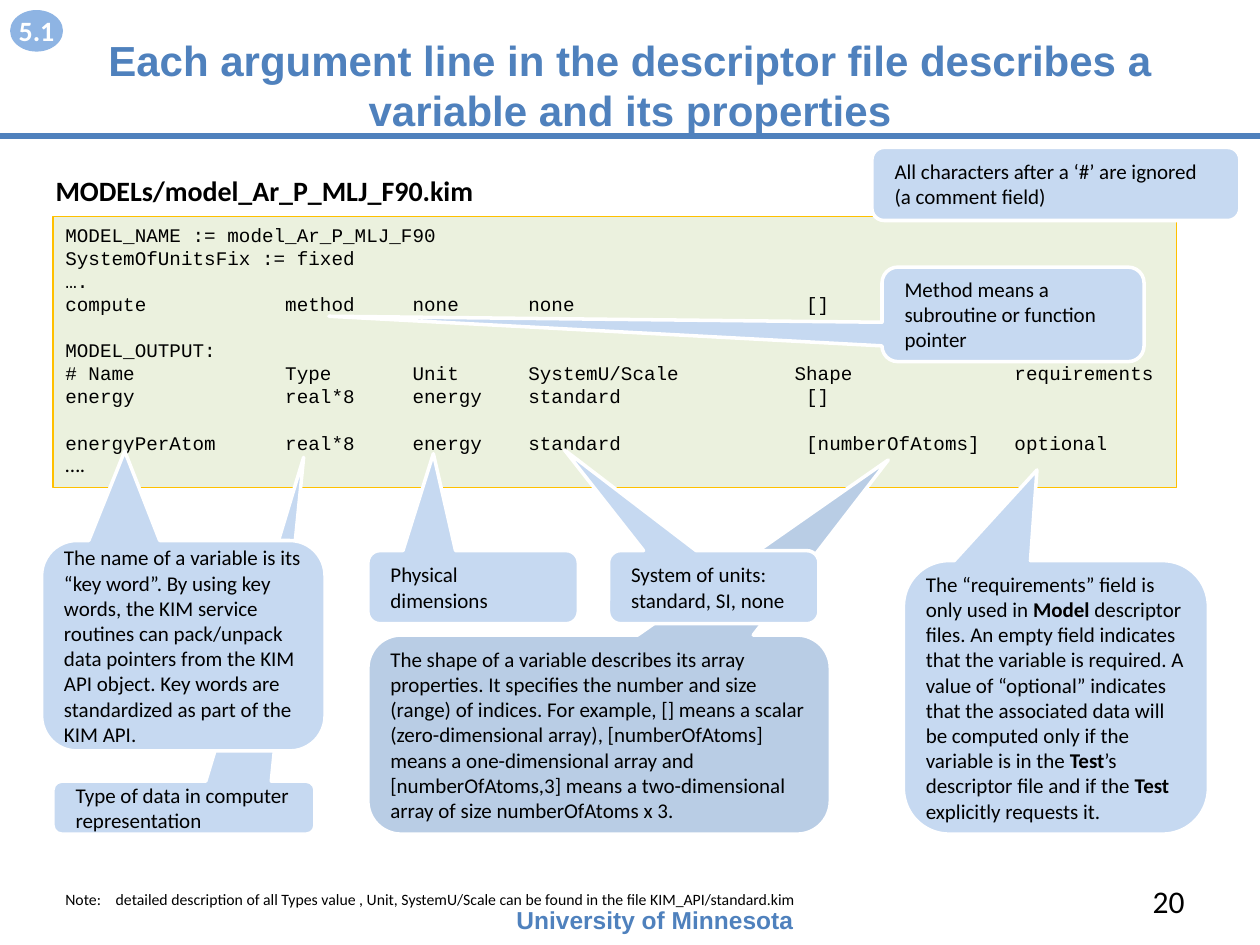
"""Build the slide that explains the argument lines of a KIM descriptor file."""
from lxml import etree
from pptx import Presentation
from pptx.dml.color import RGBColor
from pptx.enum.shapes import MSO_CONNECTOR, MSO_SHAPE
from pptx.enum.text import MSO_ANCHOR, MSO_AUTO_SIZE, PP_ALIGN
from pptx.oxml.ns import qn
from pptx.util import Inches, Pt

RECTANGLE, OVAL = MSO_SHAPE.RECTANGLE, MSO_SHAPE.OVAL
ROUNDED, CALLOUT = MSO_SHAPE.ROUNDED_RECTANGLE, MSO_SHAPE.ROUNDED_RECTANGULAR_CALLOUT
STRAIGHT = MSO_CONNECTOR.STRAIGHT
TOP, MIDDLE = MSO_ANCHOR.TOP, MSO_ANCHOR.MIDDLE
LEFT, CENTER, RIGHT = PP_ALIGN.LEFT, PP_ALIGN.CENTER, PP_ALIGN.RIGHT
NO_FIT = MSO_AUTO_SIZE.NONE

BLACK = RGBColor(0x00, 0x00, 0x00)
WHITE = RGBColor(0xFF, 0xFF, 0xFF)
BLUE = RGBColor(0x4F, 0x81, 0xBD)
BADGE_BLUE = RGBColor(0x8E, 0xB4, 0xE3)
PALE_BLUE = RGBColor(0xC6, 0xD9, 0xF1)
SHAPE_BLUE = RGBColor(0xB9, 0xCD, 0xE5)
PALE_GREEN = RGBColor(0xEB, 0xF1, 0xDE)
GOLD = RGBColor(0xFF, 0xC0, 0x00)


def write(shape, text, size, font="Calibri", color=BLACK, bold=False, align=LEFT, anchor=TOP):
    """Fill a shape with text; every second part between bars is bold."""
    frame = shape.text_frame
    frame.word_wrap = True
    frame.auto_size = NO_FIT
    frame.vertical_anchor = anchor
    frame.text = text.replace("|", "")
    for paragraph, line in zip(frame.paragraphs, text.split("\n")):
        paragraph.alignment = align
        if "|" in line:
            paragraph.text = ""
            for index, part in enumerate(line.split("|")):
                run = paragraph.add_run()
                run.text = part
                run.font.bold = index % 2 == 1
        for run in paragraph.runs:
            run.font.name = font
            run.font.size = Pt(size)
            run.font.color.rgb = color
            if "|" not in line:
                run.font.bold = bold


def add_box(kind, left, top, width, height, fill, line=None, line_width=1):
    """Add a flat filled shape with an optional outline."""
    shape = slide.shapes.add_shape(kind, Inches(left), Inches(top), Inches(width), Inches(height))
    shape.shadow.inherit = False
    shape.fill.solid()
    shape.fill.fore_color.rgb = fill
    if line is None:
        shape.line.fill.background()
    else:
        shape.line.color.rgb = line
        shape.line.width = Pt(line_width)
    return shape


presentation = Presentation()
presentation.slide_width = Inches(10)
presentation.slide_height = Inches(7.5)
slide = presentation.slides.add_slide(presentation.slide_layouts[5])

title = slide.shapes.title
title.left, title.top, title.width, title.height = Inches(0.5), Inches(0.25), Inches(9), Inches(0.67)
write(title, "Each argument line in the descriptor file describes a variable and its properties",
      24, "Arial", BLUE, True, CENTER)
title.text_frame.margin_top = Inches(0.02)

code_lines = [
    "MODEL_NAME := model_Ar_P_MLJ_F90",
    "SystemOfUnitsFix := fixed",
    "….",
    "compute            method     none      none                    []",
    "MODEL_OUTPUT:",
    "# Name             Type       Unit      SystemU/Scale          Shape              requirements",
    "energy             real*8     energy    standard                []",
    "energyPerAtom      real*8     energy    standard                [numberOfAtoms]   optional",
    "….",
]
code_box = add_box(RECTANGLE, 0.42, 1.72, 8.92, 2.15, PALE_GREEN, GOLD, 0.75)
write(code_box, "\n".join(code_lines), 11, "Courier New")
code_paragraphs = code_box.text_frame.paragraphs
for paragraph in code_paragraphs:
    paragraph.line_spacing = Pt(13.2)
    if paragraph.text.startswith(("MODEL_OUTPUT", "energyPerAtom")):
        paragraph.space_before = Pt(13.2)
closing_run = code_paragraphs[-1].runs[0]
closing_run.font.name = "Calibri"
closing_run.font.size = Pt(12)

badge = add_box(OVAL, 0.08, 0.08, 0.42, 0.33, BADGE_BLUE)
write(badge, "5.1", 16, color=WHITE, bold=True, align=CENTER, anchor=MIDDLE)
badge.text_frame.margin_left = badge.text_frame.margin_right = 0
badge.text_frame.word_wrap = False

title_rule = slide.shapes.add_connector(STRAIGHT, 0, Inches(1.08), Inches(10), Inches(1.08))
title_rule.line.color.rgb = BLUE
title_rule.line.width = Pt(3)
etree.SubElement(title_rule._element.spPr, qn("a:effectLst"))

labels = [
    (4, 7.13, 2.67, 0.34, "University of Minnesota", 14, "Arial", BLUE, True, LEFT, TOP),
    (7.17, 6.95, 2.33, 0.4, "20", 18, "Calibri", BLACK, False, RIGHT, MIDDLE),
    (0.1, 1.33, 4, 0.37, "MODELs/model_Ar_P_MLJ_F90.kim", 16, "Calibri", BLACK, True, CENTER, TOP),
    (0.42, 7.01, 7.42, 0.25, "Note:\tdetailed description of all Types value , Unit, SystemU/Scale "
     "can be found in the file KIM_API/standard.kim", 9, "Calibri", BLACK, False, LEFT, TOP),
]
for left, top, width, height, *text_style in labels:
    label = slide.shapes.add_textbox(Inches(left), Inches(top), Inches(width), Inches(height))
    write(label, *text_style)
    if "\t" in label.text_frame.text:
        properties = label.text_frame.paragraphs[0]._p.get_or_add_pPr()
        properties.set("marL", str(Inches(0.4)))
        properties.set("indent", str(Inches(-0.4)))

callouts = [
    (7.17, 4.45, 2.42, 2.17, (8.23, 3.73), PALE_BLUE,
     "The “requirements” field is only used in |Model| descriptor files. An empty field indicates "
     "that the variable is required. A value of “optional” indicates that the associated data will "
     "be computed only if the variable is in the |Test|’s descriptor file and if the |Test| "
     "explicitly requests it."),
    (7, 2.12, 2.08, 0.75, (2.61, 2.51), PALE_BLUE, "Method means a subroutine or function pointer"),
    (2.92, 4.37, 1.67, 0.58, (3.44, 3.6), PALE_BLUE, "Physical dimensions"),
    (0.42, 6.2, 2.08, 0.42, (2.41, 3.63), PALE_BLUE, "Type of data in computer representation"),
    (0.33, 4.29, 2.25, 1.67, (0.99, 3.58), PALE_BLUE,
     "The name of a variable is its “key word”. By using key words, the KIM service routines can "
     "pack/unpack data pointers from the KIM API object. Key words are standardized as part of "
     "the KIM API."),
    (2.92, 5.04, 3.67, 1.58, (7.05, 3.65), SHAPE_BLUE,
     "The shape of a variable describes its array properties. It specifies the number and size "
     "(range) of indices. For example, [] means a scalar (zero-dimensional array), "
     "[numberOfAtoms] means a one-dimensional array and [numberOfAtoms,3] means a "
     "two-dimensional array of size numberOfAtoms x 3."),
    (4.83, 4.37, 1.67, 0.58, (4.48, 3.57), PALE_BLUE, "System of units: standard, SI, none"),
    (6.92, 1.17, 2.92, 0.58, None, PALE_BLUE,
     "All characters after a ‘#’ are ignored\n(a comment field)"),
]
for left, top, width, height, tip, fill, text in callouts:
    callout = add_box(CALLOUT if tip else ROUNDED, left, top, width, height, fill, WHITE, 2)
    if tip:
        callout.adjustments[0] = (tip[0] - left) / width - 0.5
        callout.adjustments[1] = (tip[1] - top) / height - 0.5
    write(callout, text, 12, anchor=MIDDLE)
    frame = callout.text_frame
    corner_inset = 0.05 * min(width, height)
    frame.margin_left = frame.margin_right = Inches(0.18 - corner_inset)
    frame.margin_top = frame.margin_bottom = 0

presentation.save("out.pptx")
